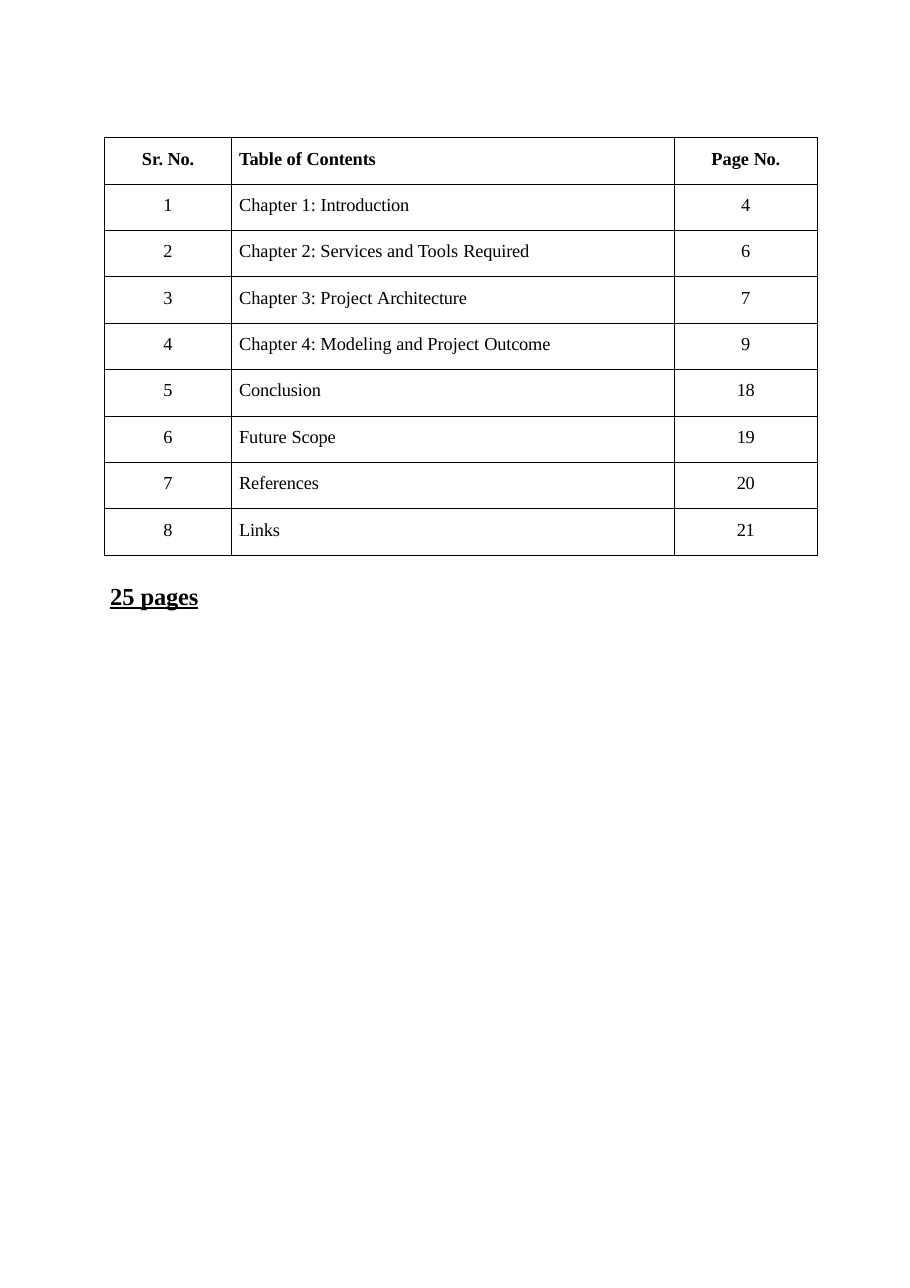
from lxml import etree
from pptx import Presentation
from pptx.dml.color import RGBColor
from pptx.enum.text import PP_ALIGN
from pptx.oxml.ns import qn
from pptx.util import Inches, Pt

LEFT, MID = PP_ALIGN.LEFT, PP_ALIGN.CENTER
FONT = "Times New Roman"
INK = "000000"
COLS = (1.15, 4.02, 1.3)
ROWS = [
    ("Sr. |No.", "Table of |Contents", "Page |No."),
    ("1", "Chapter 1: |Introduction", "4"),
    ("2", "Chapter 2: Services and Tools |Required", "6"),
    ("3", "Chapter 3: Project |Architecture", "7"),
    ("4", "Chapter 4: Modeling and Project |Outcome", "9"),
    ("5", "Conclusion", "18"),
    ("6", "Future |Scope", "19"),
    ("7", "References", "20"),
    ("8", "Links", "21"),
]


def paint(font, color):
    """Set a font to a hex colour."""
    font.color.rgb = RGBColor.from_string(color)


def write(para, text, size, bold=False, under=False, tight=-0.1):
    """Add the runs of a text split at bars, the last one tightened."""
    parts = text.split("|")
    for part in parts:
        run = para.add_run()
        run.text = part
        font = run.font
        font.name, font.size = FONT, Pt(size)
        font.bold, font.underline = bold, under
        paint(font, INK)
        if part is parts[-1]:
            run._r.get_or_add_rPr().set("spc", str(round(tight * 100)))


def pad(area, left, top):
    """Set the inner margins of a cell or text frame."""
    area.margin_left, area.margin_top = Inches(left), Inches(top)
    area.margin_right = area.margin_bottom = 0


def frame(cell, color, width):
    """Rule all four sides of a cell and leave it unfilled."""
    props = cell._tc.get_or_add_tcPr()
    for side in ("lnL", "lnR", "lnT", "lnB"):
        line = etree.SubElement(props, qn("a:" + side), w=str(Pt(width)))
        fill = etree.SubElement(line, qn("a:solidFill"))
        etree.SubElement(fill, qn("a:srgbClr"), val=color)
    cell.fill.background()


def contents(slide, x, y, w, h):
    """Place the table of contents in its box."""
    shape = slide.shapes.add_table(
        len(ROWS), len(COLS), Inches(x), Inches(y), Inches(w), Inches(h))
    table = shape.table
    table.first_row = table.horz_banding = False
    for col, share in zip(table.columns, COLS):
        col.width = Inches(w * share / sum(COLS))
    for i, row in enumerate(ROWS):
        table.rows[i].height = Inches(h / len(ROWS))
        for j, text in enumerate(row):
            cell = table.cell(i, j)
            frame(cell, INK, 0.5)
            pad(cell, 0.07 if j == 1 else 0, 0.1)
            para = cell.text_frame.paragraphs[0]
            para.alignment = LEFT if j == 1 else MID
            para.space_before = Pt(7.2)
            tight = -0.1 if j == 1 else -0.5 if len(text) == 1 else -0.2
            write(para, text, 12, bold=i == 0, tight=tight)


def total(slide, x, y, w, h):
    """Place the page count in its box."""
    box = slide.shapes.add_textbox(Inches(x), Inches(y), Inches(w), Inches(h))
    text = box.text_frame
    text.word_wrap = True
    pad(text, 0.01, 0.01)
    para = text.paragraphs[0]
    para.space_before = Pt(1)
    write(para, "25 |pages", 16, bold=True, under=True)


def main():
    """Build and save the contents page."""
    deck = Presentation()
    deck.slide_width, deck.slide_height = Inches(8.26), Inches(11.69)
    slide = deck.slides.add_slide(deck.slide_layouts[6])
    contents(slide, 0.95, 1.25, sum(COLS), 3.79)
    total(slide, 0.99, 5.26, 0.84, 0.29)
    deck.save("out.pptx")


if __name__ == "__main__":
    main()
